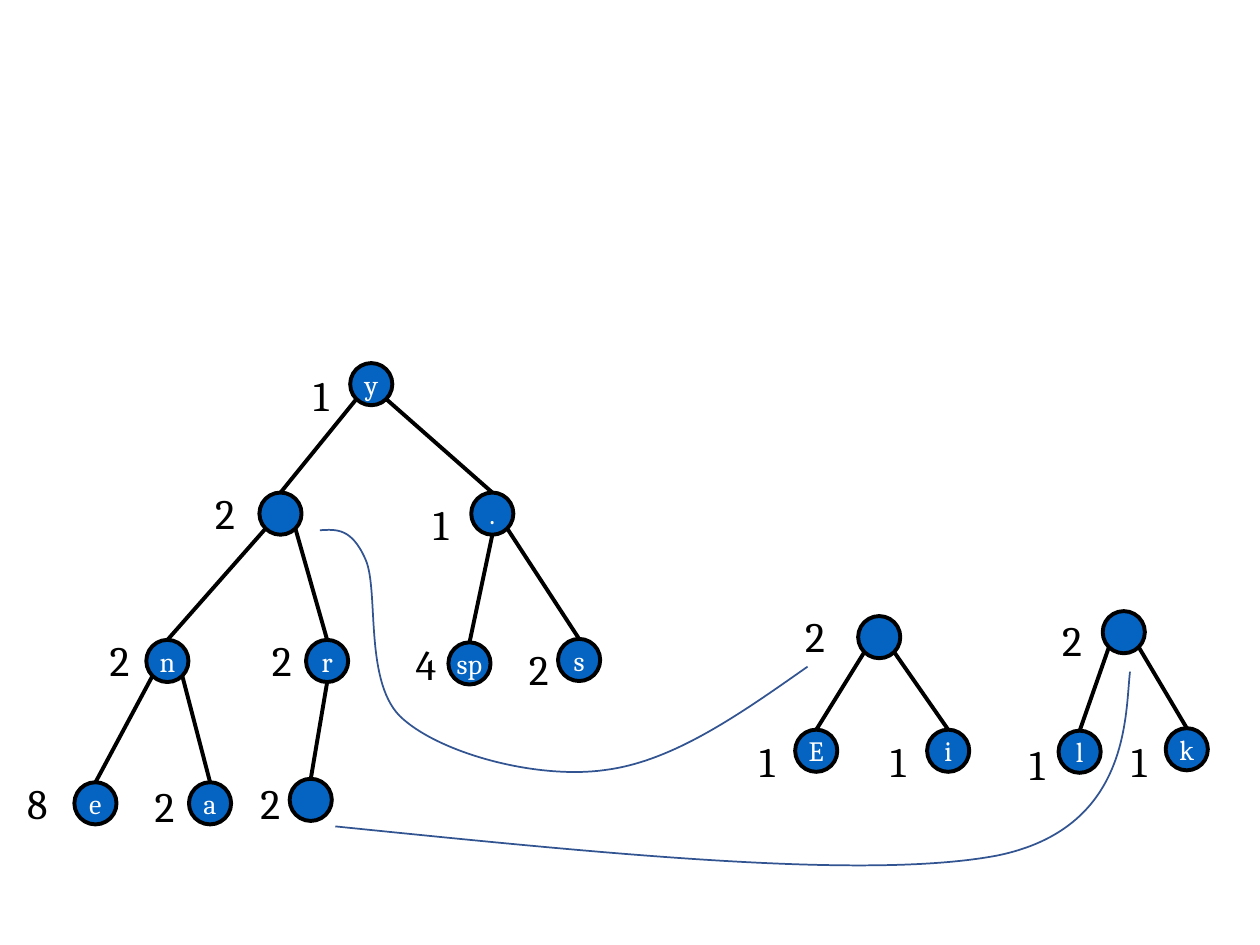
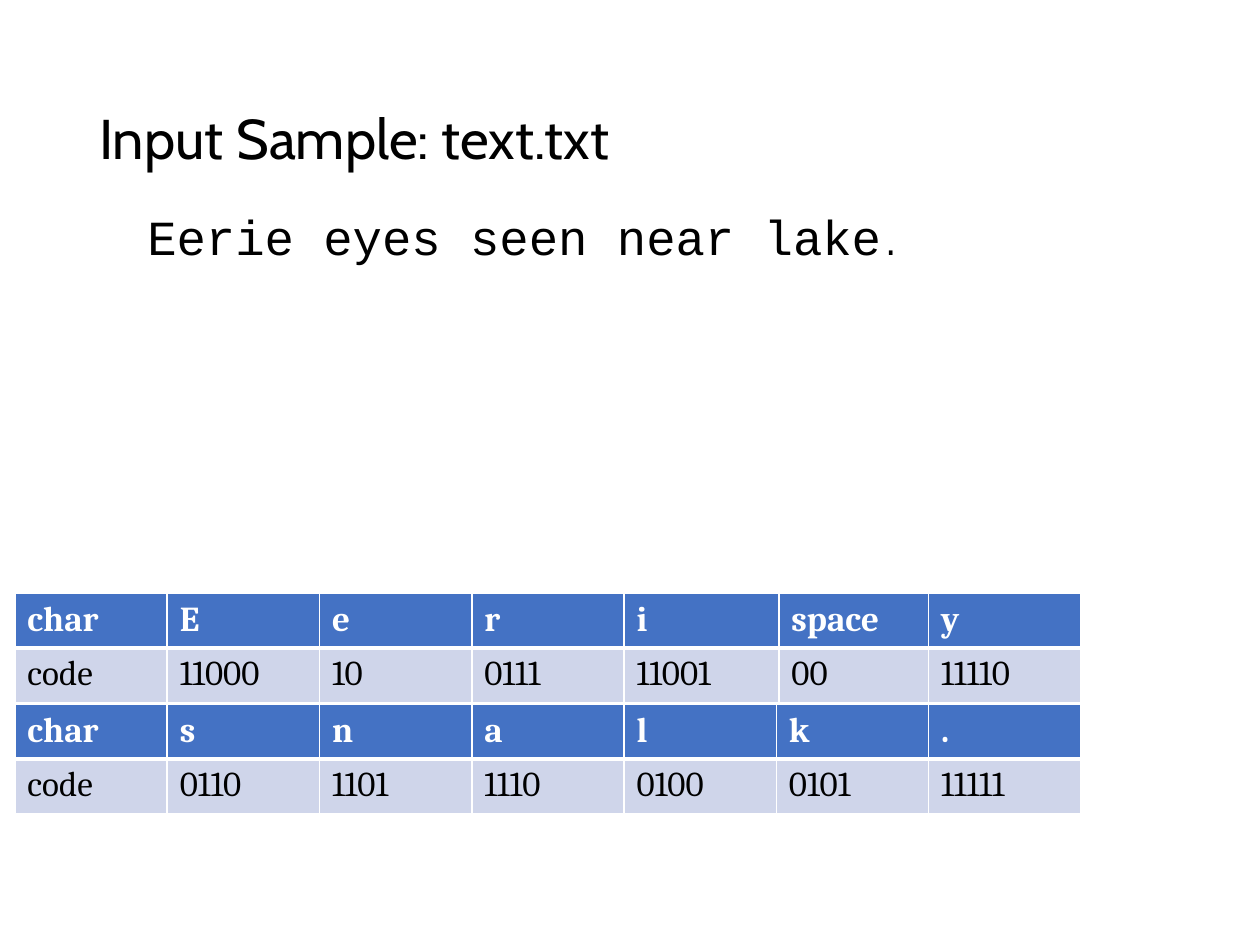
from math import sqrt

from lxml import etree
from pptx import Presentation
from pptx.dml.color import RGBColor
from pptx.enum.shapes import MSO_CONNECTOR, MSO_SHAPE
from pptx.enum.text import MSO_ANCHOR, MSO_AUTO_SIZE, PP_ALIGN
from pptx.oxml.ns import qn
from pptx.util import Cm, Pt

STRAIGHT = MSO_CONNECTOR.STRAIGHT
OVAL = MSO_SHAPE.OVAL
MIDDLE, TOP = MSO_ANCHOR.MIDDLE, MSO_ANCHOR.TOP
CENTER = PP_ALIGN.CENTER
GROW, FIXED = MSO_AUTO_SIZE.SHAPE_TO_FIT_TEXT, MSO_AUTO_SIZE.NONE

COLORS = {
    "node": "0563C1",
    "black": "000000",
    "white": "FFFFFF",
    "curve": "325491",
    "header": "4472C4",
    "body": "CFD5EA",
}
SERIF, TITLE_FONT, MONO = "Cambria", "Cabin", "Courier New"
DIAMETER = 0.85
RADIUS = DIAMETER / 2
DIAGONAL = RADIUS / sqrt(2)

# name: (character, count, node left and top, count left and top), in cm
NODES = {
    "y": ("y", "1", (7.06, 7.32), (6.07, 7.32)),
    "left": ("", "2", (5.23, 9.93), (4.09, 9.7)),
    "dot": (".", "1", (9.5, 9.93), (8.48, 9.93)),
    "n": ("n", "2", (2.95, 12.9), (1.96, 12.67)),
    "r": ("r", "2", (6.17, 12.9), (5.23, 12.67)),
    "sp": ("sp", "4", (9.04, 12.95), (8.13, 12.75)),
    "s": ("s", "2", (11.25, 12.88), (10.41, 12.85)),
    "e": ("e", "8", (1.5, 15.77), (0.3, 15.54)),
    "a": ("a", "2", (3.81, 15.77), (2.87, 15.6)),
    "low": ("", "2", (5.84, 15.7), (5.0, 15.54)),
    "E": ("E", "1", (16.03, 14.71), (15.06, 14.71)),
    "i": ("i", "1", (18.69, 14.71), (17.7, 14.71)),
    "E+i": ("", "2", (17.3, 12.42), (15.98, 12.19)),
    "l": ("l", "1", (21.34, 14.73), (20.5, 14.76)),
    "k": ("k", "1", (23.5, 14.68), (22.56, 14.71)),
    "l+k": ("", "2", (22.23, 12.32), (21.16, 12.27)),
}

# parent, child, side of the parent where the edge starts (-1 left, 0 bottom, 1 right)
EDGES = [
    ("y", "left", -1), ("y", "dot", 1),
    ("left", "n", -1), ("left", "r", 1),
    ("dot", "sp", 0), ("dot", "s", 1),
    ("n", "e", -1), ("n", "a", 1), ("r", "low", 0),
    ("E+i", "E", -1), ("E+i", "i", 1),
    ("l+k", "l", -1), ("l+k", "k", 1),
]

# Start point, then two control points and an end point for each segment
LOW_TO_LK = [
    (6.76, 16.66),
    (12.09, 17.2), (17.42, 17.75), (20.09, 17.25),
    (22.78, 16.71), (22.68, 14.43), (22.78, 13.54),
]
EI_TO_LEFT = [
    (16.28, 13.44),
    (14.94, 14.38), (13.59, 15.34), (12.22, 15.52),
    (10.87, 15.72), (8.94, 15.21), (8.13, 14.5),
    (7.32, 13.82), (7.65, 11.91), (7.37, 11.28),
    (7.09, 10.64), (6.78, 10.67), (6.45, 10.69),
]

CODE_TABLES = [
    (11.96, [3.07, 3.07, 3.07, 3.07, 3.12, 3.02, 3.07],
     [["char", "E", "e", "r", "i", "space", "y"],
      ["code", "11000", "10", "0111", "11001", "00", "11110"]]),
    (14.2, [3.07] * 7,
     [["char", "s", "n", "a", "l", "k", "."],
      ["code", "0110", "1101", "1110", "0100", "0101", "11111"]]),
]


def rgb(name):
    return RGBColor.from_string(COLORS[name])


class Deck:
    def __init__(self):
        self.presentation = Presentation()
        self.presentation.slide_width = Cm(25.4)
        self.presentation.slide_height = Cm(19.05)
        self.slide = None

    def new_slide(self):
        blank = self.presentation.slide_layouts[6]
        self.slide = self.presentation.slides.add_slide(blank)

    def style_font(self, font, size, name=SERIF, color="black", bold=None):
        font.size, font.name, font.bold = Pt(size), name, bold
        font.color.rgb = rgb(color)

    def style_line(self, line, color, width):
        line.color.rgb = rgb(color)
        line.width = Pt(width)

    def text(self, text, box, size, name=SERIF, wrap=True, anchor=TOP, auto_size=FIXED):
        """Add a one-paragraph text box and return its paragraph."""
        frame = self.slide.shapes.add_textbox(*map(Cm, box)).text_frame
        frame.word_wrap = wrap
        frame.auto_size = auto_size
        frame.vertical_anchor = anchor
        paragraph = frame.paragraphs[0]
        paragraph.text = text
        self.style_font(paragraph.font, size, name)
        return paragraph

    def node(self, character, left, top):
        shape = self.slide.shapes.add_shape(
            OVAL, Cm(left), Cm(top), Cm(DIAMETER), Cm(DIAMETER))
        shape.shadow.inherit = False
        shape.fill.solid()
        shape.fill.fore_color.rgb = rgb("node")
        self.style_line(shape.line, "black", 2.25)
        if character:
            frame = shape.text_frame
            frame.word_wrap = False
            frame.vertical_anchor = MIDDLE
            paragraph = frame.paragraphs[0]
            paragraph.text = character
            paragraph.alignment = CENTER
            self.style_font(paragraph.font, 16, color="white")

    def count(self, count, left, top):
        self.text(count, (left, top, 0.99, 1.27), 24, wrap=False, auto_size=GROW)

    def edge(self, parent, child, side):
        """Join a parent's lower rim to the top of a child, both given by left and top."""
        drop = DIAGONAL if side else RADIUS
        connector = self.slide.shapes.add_connector(
            STRAIGHT,
            Cm(child[0] + RADIUS), Cm(child[1]),
            Cm(parent[0] + RADIUS + side * DIAGONAL), Cm(parent[1] + RADIUS + drop))
        self.style_line(connector.line, "black", 2.25)
        etree.SubElement(connector._element.spPr, qn("a:effectLst"))

    def curve(self, points):
        """Draw a chain of cubic segments."""
        start, *rest = [(Cm(x), Cm(y)) for x, y in points]
        builder = self.slide.shapes.build_freeform(*start)
        builder.add_line_segments(rest, close=False)
        shape = builder.convert_to_shape()
        shape.shadow.inherit = False
        shape.fill.background()
        self.style_line(shape.line, "curve", 1)
        outline = next(shape._element.iter(qn("a:path")))
        steps = outline.findall(qn("a:lnTo"))
        for first in range(0, len(steps), 3):
            bezier = etree.SubElement(outline, qn("a:cubicBezTo"))
            for step in steps[first:first + 3]:
                bezier.append(step[0])
                outline.remove(step)

    def cell_borders(self, cell, widths):
        properties = cell._tc.get_or_add_tcPr()
        for side, width in zip("LRTB", widths):
            line = etree.SubElement(properties, qn(f"a:ln{side}"), w=str(Pt(width)))
            fill = etree.SubElement(line, qn("a:solidFill"))
            etree.SubElement(fill, qn("a:srgbClr"), val=COLORS["white"])

    def code_table(self, top, widths, rows):
        table = self.slide.shapes.add_table(
            len(rows), len(widths), Cm(0.3), Cm(top), Cm(sum(widths)), Cm(2.2)).table
        for column, width in zip(table.columns, widths):
            column.width = Cm(width)
        row_styles = [("header", "white", True, (1, 1, 1, 3)),
                      ("body", "black", False, (1, 1, 3, 1))]
        for row, (values, style) in enumerate(zip(rows, row_styles)):
            fill, color, bold, borders = style
            for column, value in enumerate(values):
                cell = table.cell(row, column)
                self.cell_borders(cell, borders)
                cell.fill.solid()
                cell.fill.fore_color.rgb = rgb(fill)
                paragraph = cell.text_frame.paragraphs[0]
                paragraph.text = value
                self.style_font(paragraph.font, 20, color=color, bold=bold)


def build_tree_slide(deck):
    deck.new_slide()
    for parent, child, side in EDGES:
        deck.edge(NODES[parent][2], NODES[child][2], side)
    for character, count, node_place, count_place in NODES.values():
        deck.node(character, *node_place)
        deck.count(count, *count_place)
    deck.curve(LOW_TO_LK)
    deck.curve(EI_TO_LEFT)


def build_code_slide(deck):
    deck.new_slide()
    title = deck.text("Input Sample: text.txt", (1.75, 1.02, 21.89, 3.68), 32,
                      TITLE_FONT, anchor=MIDDLE)
    title.line_spacing = 0.9
    sample = deck.text("Eerie eyes seen near lake", (1.75, 4.17, 19.35, 9.14), 28, MONO)
    sample.line_spacing = 0.9
    sample._p.get_or_add_pPr().set("marL", str(Cm(0.97)))
    period = sample.add_run()
    period.text = "."
    deck.style_font(period.font, 18, MONO)
    for code_table in CODE_TABLES:
        deck.code_table(*code_table)


def main():
    deck = Deck()
    build_tree_slide(deck)
    build_code_slide(deck)
    deck.presentation.save("out.pptx")


if __name__ == "__main__":
    main()
